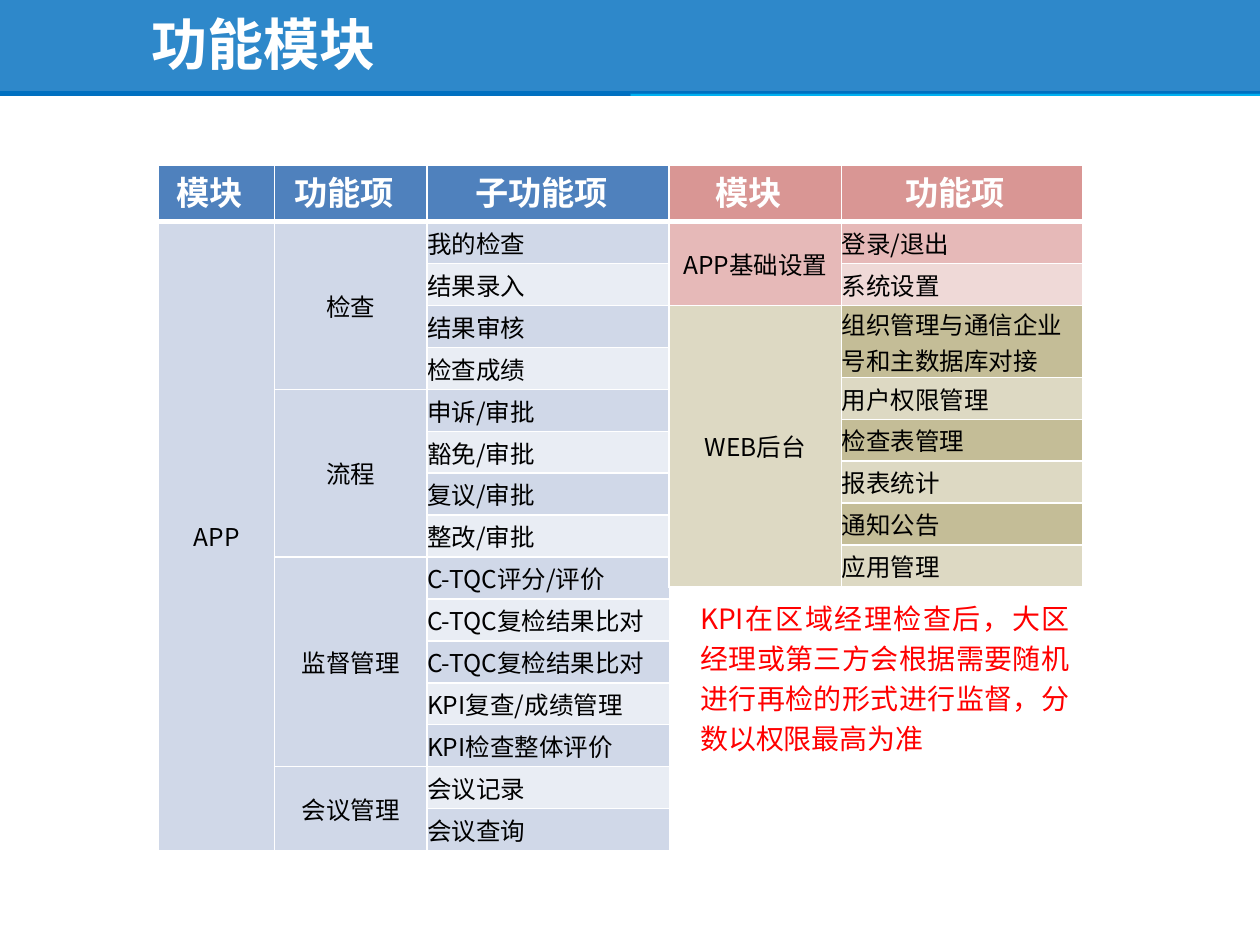
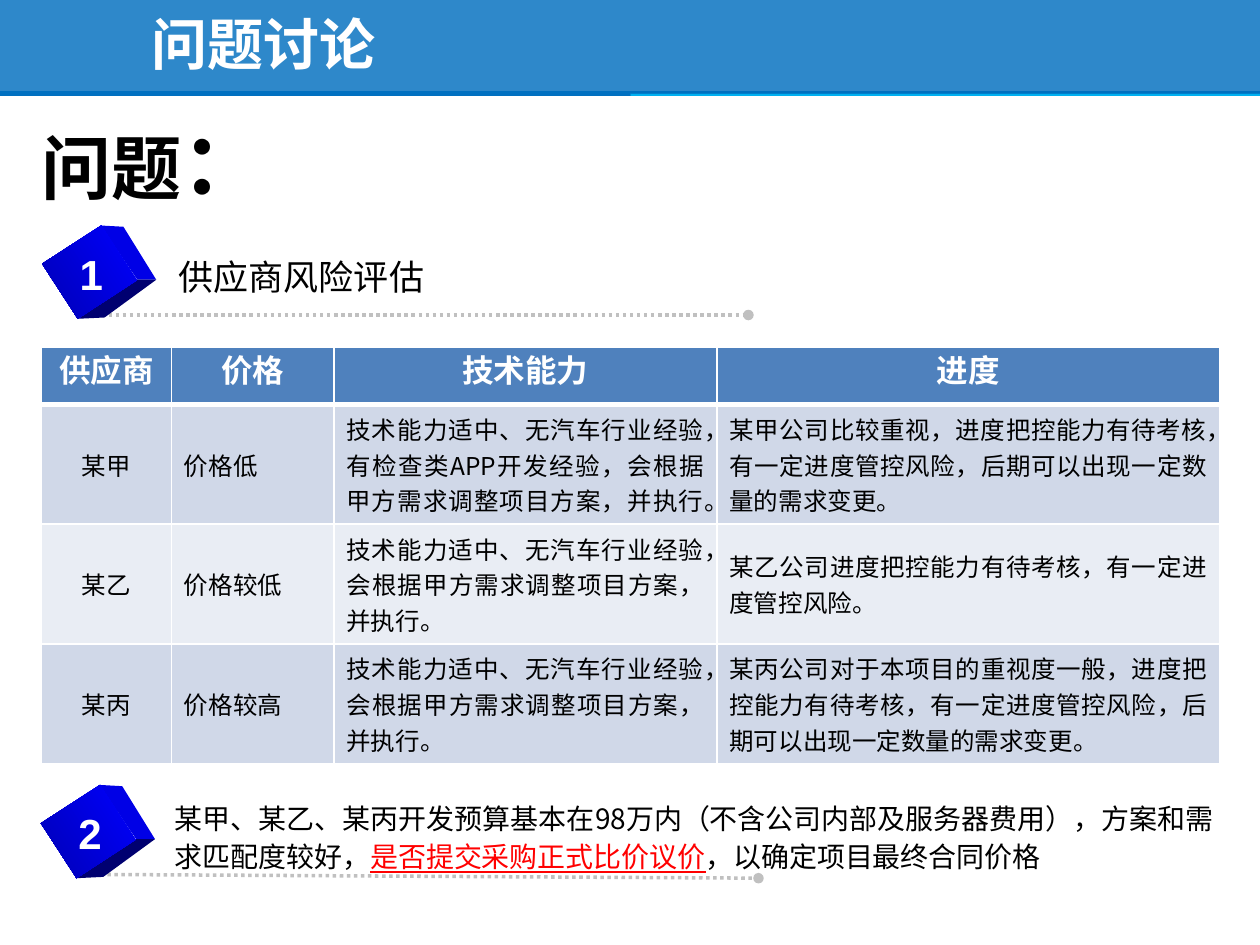
import itertools

import lxml.etree
import pptx
import pptx.dml.color
import pptx.enum.shapes
import pptx.enum.text
import pptx.oxml
import pptx.oxml.ns
import pptx.util

Pt = pptx.util.Pt
qn = pptx.oxml.ns.qn
Shape = pptx.enum.shapes.MSO_SHAPE
Align = pptx.enum.text.PP_ALIGN
Anchor = pptx.enum.text.MSO_ANCHOR

COLS, ROWS = 100, 75
WIDE, HIGH = pptx.util.Inches(10), pptx.util.Inches(7.5)
NOTO, ARIAL = "Noto Sans CJK SC", "Arial"
NS = 'xmlns:a="http://schemas.openxmlformats.org/drawingml/2006/main"'

HUES = {
    "band": "2E88CA", "sky": "00B0F0", "deep": "0070C0",
    "white": "FFFFFF", "black": "000000", "red": "FF0000",
    "head": "4F81BD", "blue": "D0D8E8", "pale": "E9EDF4",
    "pink": "D99694", "rose": "E6B9B8", "mist": "EFD9D7",
    "khaki": "C4BD97", "sand": "DDD9C3",
    "gray": "C0C0C0", "shade": "808080",
    "front": "0000FF", "dim": "0000B6", "side": "0000E6", "base": "000070",
}


def hue(name):
    return pptx.dml.color.RGBColor.from_string(HUES[name])


def x(col):
    return round(WIDE * col / COLS)


def y(row):
    return round(HIGH * row / ROWS)


def place(box):
    left, top, wide, high = box
    return x(left), y(top), x(wide), y(high)


def node(text):
    return pptx.oxml.parse_xml(text)


def plain(shape, tone):
    shape.shadow.inherit = False
    shape.line.fill.background()
    shape.fill.solid()
    shape.fill.fore_color.rgb = hue(tone)


def blend(shape, stops, form):
    marks = "".join(
        f'<a:gs pos="{spot * 1000}"><a:srgbClr val="{HUES[tone]}"/></a:gs>'
        for spot, tone in stops)
    old = shape.fill._xPr.find(qn("a:solidFill"))
    old.getparent().replace(old, node(
        f"<a:gradFill {NS}><a:gsLst>{marks}</a:gsLst>{form}</a:gradFill>"))


def write(para, text, size, tone="black", font=NOTO, bold=False, line=False):
    run = para.add_run()
    run.text = text
    face = run.font
    face.size, face.name, face.bold, face.underline = Pt(size), font, bold, line
    face.color.rgb = hue(tone)
    lxml.etree.SubElement(run._r.get_or_add_rPr(), qn("a:ea"), typeface=font)
    return run


def label(slide, box, runs, align=Align.LEFT, pitch=None,
          anchor=Anchor.TOP, wrap=True):
    frame = slide.shapes.add_textbox(*place(box)).text_frame
    frame.word_wrap = wrap
    frame.vertical_anchor = anchor
    para = frame.paragraphs[0]
    para.alignment = align
    if pitch:
        para.line_spacing = Pt(pitch)
    return [write(para, *run) for run in runs]


def banner(slide, title):
    band = slide.shapes.add_shape(Shape.RECTANGLE, *place((0, 0, COLS, 7.6)))
    plain(band, "band")
    strip = slide.shapes.add_shape(
        Shape.RECTANGLE, *place((0, 7.2, COLS, 0.4)))
    plain(strip, "sky")
    blend(strip, [(0, "sky"), (50, "sky"), (100, "deep")],
          '<a:path path="rect"><a:fillToRect l="100000" t="100000"/></a:path>')
    label(slide, (11, 0.3, 58.1, 6.2), [(title, 32, "white", NOTO, True)],
          anchor=Anchor.MIDDLE)


def edge(cell, head):
    props = cell._tc.get_or_add_tcPr()
    for spot, side in enumerate("LRTB"):
        width = Pt(3 if head and side == "B" else 1)
        props.insert(spot, node(
            f'<a:ln{side} {NS} w="{width}"><a:solidFill>'
            f'<a:srgbClr val="{HUES["white"]}"/></a:solidFill></a:ln{side}>'))


def dress(cell, tone, pads, head=False):
    cell.fill.solid()
    cell.fill.fore_color.rgb = hue(tone)
    (cell.margin_left, cell.margin_top,
     cell.margin_right, cell.margin_bottom) = map(x, pads)
    cell.vertical_anchor = Anchor.TOP if head else Anchor.MIDDLE
    edge(cell, head)


def chart(slide, spot, wides, highs, heads, body, tone, pads, top):
    box = (*spot, sum(wides), sum(highs))
    grid = slide.shapes.add_table(len(highs), len(wides), *place(box)).table
    grid.horz_banding = False
    for col, wide in zip(grid.columns, wides):
        col.width = x(wide)
    for row, high in zip(grid.rows, highs):
        row.height = y(high)
    size, font, pitch, rim = top
    for col, (text, (items, tones, align)) in enumerate(zip(heads, body)):
        cell = grid.cell(0, col)
        dress(cell, tone, rim, True)
        para = cell.text_frame.paragraphs[0]
        para.alignment = Align.CENTER
        if pitch:
            para.line_spacing = Pt(pitch)
        write(para, text, size, "white", font, True)
        row = 1
        for (name, span), fill in zip(items, itertools.cycle(tones)):
            for step in range(span):
                dress(grid.cell(row + step, col), fill, pads)
            cell = grid.cell(row, col)
            if span > 1:
                cell.merge(grid.cell(row + span - 1, col))
            para = cell.text_frame.paragraphs[0]
            para.alignment = align
            write(para, name, 14)
            row += span


def ones(*names):
    return [(name, 1) for name in names]


def facet(slide, points, tone):
    spots = [(x(col), y(row)) for col, row in points]
    pen = slide.shapes.build_freeform(*spots[0])
    pen.add_line_segments(spots[1:])
    plain(pen.convert_to_shape(), tone)


def cube(slide, left, top, digit):
    mid, cent = left + 2.6, top + 2.8
    rim = [(mid + dx, cent + dy) for dx, dy in (
        (0.9, -3.7), (2.7, -3.6), (5.3, 0.6),
        (3.8, 0.6), (1.2, 3.6), (-0.9, 3.7))]
    facet(slide, rim[:4], "side")
    facet(slide, [rim[5], rim[3], rim[2], rim[4]], "base")
    front = slide.shapes.add_shape(
        Shape.RECTANGLE, *place((left, top, 5.2, 5.6)))
    plain(front, "front")
    blend(front, [(0, "front"), (100, "dim")], '<a:lin ang="5400000"/>')
    front.rotation = 57
    label(slide, (left + 0.8, top + 0.4, 3.9, 5),
          [(digit, 24, "white", ARIAL, True)], Align.CENTER, wrap=False)


def topic(slide, spot, digit, reach, drop, area, runs, **style):
    left, top = spot
    rule = slide.shapes.add_connector(
        pptx.enum.shapes.MSO_CONNECTOR.STRAIGHT,
        x(left + 3), y(top + 6.2), x(left + reach), y(top + 6.2 + drop))
    rule.line.width = Pt(2)
    rule.line.color.rgb = hue("gray")
    rule.line.dash_style = pptx.enum.dml.MSO_LINE.ROUND_DOT
    line = rule.line._get_or_add_ln()
    lxml.etree.SubElement(line, qn("a:tailEnd"), type="oval")
    lxml.etree.SubElement(rule._element.spPr, qn("a:effectLst"))
    cube(slide, left, top, digit)
    dx, dy, wide, high = area
    label(slide, (left + dx, top + dy, wide, high), runs, **style)


def modules_page(slide):
    banner(slide, "功能模块")
    bare = (0, 0, 0, 0)
    top = (19, NOTO, 25, (0, 0.5, 1.1, 0.5))
    tasks = ones(
        "我的检查", "结果录入", "结果审核", "检查成绩",
        "申诉/审批", "豁免/审批", "复议/审批", "整改/审批",
        "C-TQC评分/评价", "C-TQC复检结果比对", "C-TQC复检结果比对",
        "KPI复查/成绩管理", "KPI检查整体评价", "会议记录", "会议查询")
    kinds = [("检查", 4), ("流程", 4), ("监督管理", 5), ("会议管理", 2)]
    chart(slide, (12.6, 13.1), (9.2, 12.1, 19.3), [4.5] + [3.33] * 15,
          ("模块", "功能项", "子功能项"),
          [([("APP", 15)], ["blue"], Align.CENTER),
           (kinds, ["blue"], Align.CENTER),
           (tasks, ["blue", "pale"], Align.LEFT)],
          "head", bare, top)
    tools = ones(
        "登录/退出", "系统设置", "组织管理与通信企业号和主数据库对接",
        "用户权限管理", "检查表管理", "报表统计", "通知公告", "应用管理")
    chart(slide, (53.1, 13.1), (13.7, 19.1),
          [4.5, 3.33, 3.33, 5.7] + [3.33] * 5, ("模块", "功能项"),
          [([("APP基础设置", 2), ("WEB后台", 6)], ["rose", "sand"],
            Align.CENTER),
           (tools, ["rose", "mist"] + ["khaki", "sand"] * 3, Align.LEFT)],
          "pink", bare, top)
    label(slide, (54.6, 46.7, 31.3, 13.7),
          [("KPI在区域经理检查后，大区经理或第三方会根据需要随机进行再检的"
            "形式进行监督，分数以权限最高为准", 16, "red")],
          Align.JUSTIFY, 23)


def issues_page(slide):
    banner(slide, "问题讨论")
    for run in label(slide, (2.3, 10.4, 20, 4.8),
                     [("问题", 40, "black", ARIAL, True),
                      ("：", 48, "black", ARIAL, True)],
                     anchor=Anchor.MIDDLE):
        run._r.rPr.find(qn("a:solidFill")).addnext(node(
            f'<a:effectLst {NS}><a:outerShdw dist="38100" dir="2700000">'
            f'<a:srgbClr val="{HUES["shade"]}"/></a:outerShdw></a:effectLst>'))
    topic(slide, (4.5, 18.8), "1", 54.9, 0, (8.7, 1, 42.1, 4.3),
          [("供应商风险评估", 20)])
    skill = "技术能力适中、无汽车行业经验，"
    plan = "会根据甲方需求调整项目方案，并执行。"
    doubt = "进度把控能力有待考核，有一定进度管控风险"
    change = "，后期可以出现一定数量的需求变更。"
    tones = ["blue", "pale"]
    rim = (1, 0.5, 1, 0.5)
    chart(slide, (3.3, 27.6), (10.3, 12.9, 30.4, 39.9), [4.5] + [9.5] * 3,
          ("供应商", "价格", "技术能力", "进度"),
          [(ones("某甲", "某乙", "某丙"), tones, Align.CENTER),
           (ones("价格低", "价格较低", "价格较高"), tones, Align.LEFT),
           (ones(skill + "有检查类APP开发经验，" + plan,
                 skill + plan, skill + plan), tones, Align.JUSTIFY),
           (ones("某甲公司比较重视，" + doubt + change,
                 "某乙公司" + doubt + "。",
                 "某丙公司对于本项目的重视度一般，" + doubt + change),
            tones, Align.JUSTIFY)],
          "head", rim, (18, ARIAL, None, rim))
    topic(slide, (4.4, 63.2), "2", 55.8, 0.3, (8.5, -0.5, 84.4, 7.2),
          [("某甲、某乙、某丙开发预算基本在98万内（不含公司内部及服务器费用），"
            "方案和需求匹配度较好，", 16),
           ("是否提交采购正式比价议价", 16, "red", NOTO, False, True),
           ("，以确定项目最终合同价格", 16)],
          align=Align.JUSTIFY, pitch=22)


def main():
    deck = pptx.Presentation()
    deck.slide_width, deck.slide_height = WIDE, HIGH
    for page in (modules_page, issues_page):
        page(deck.slides.add_slide(deck.slide_layouts[6]))
    deck.save("out.pptx")


if __name__ == "__main__":
    main()
